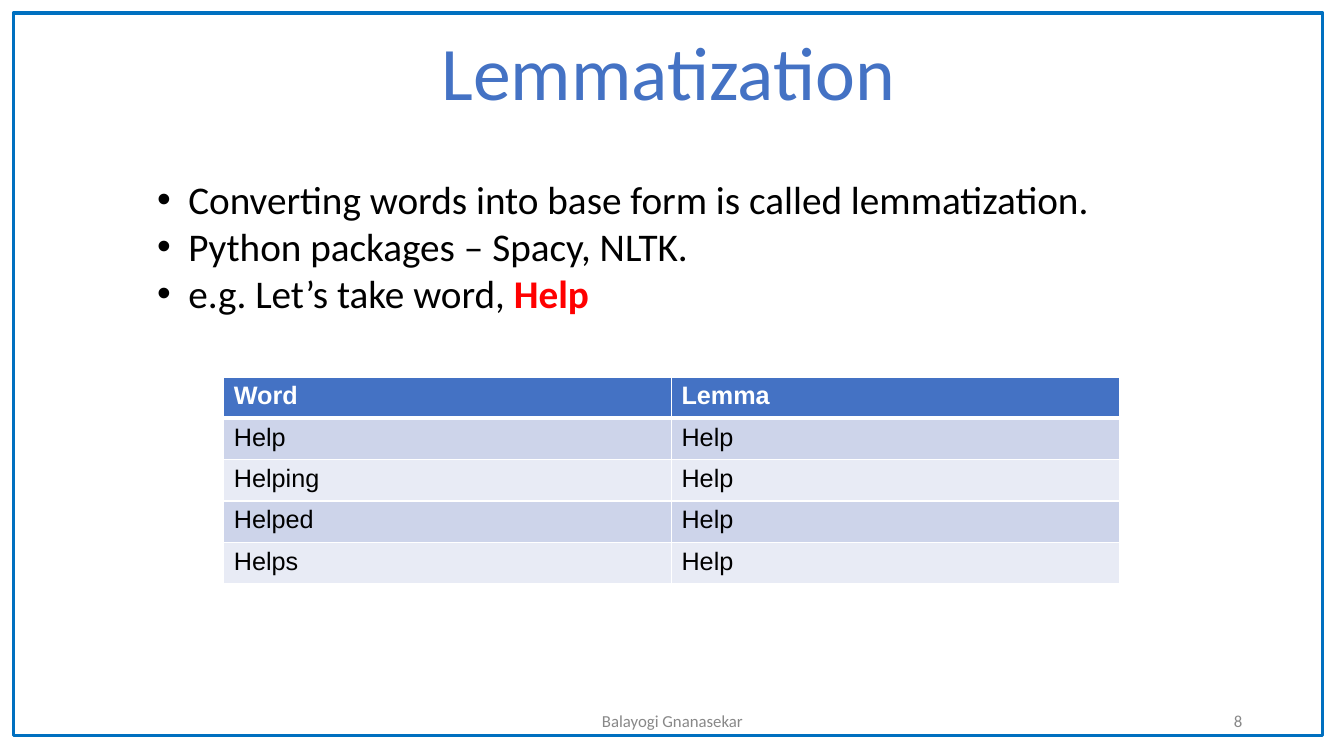
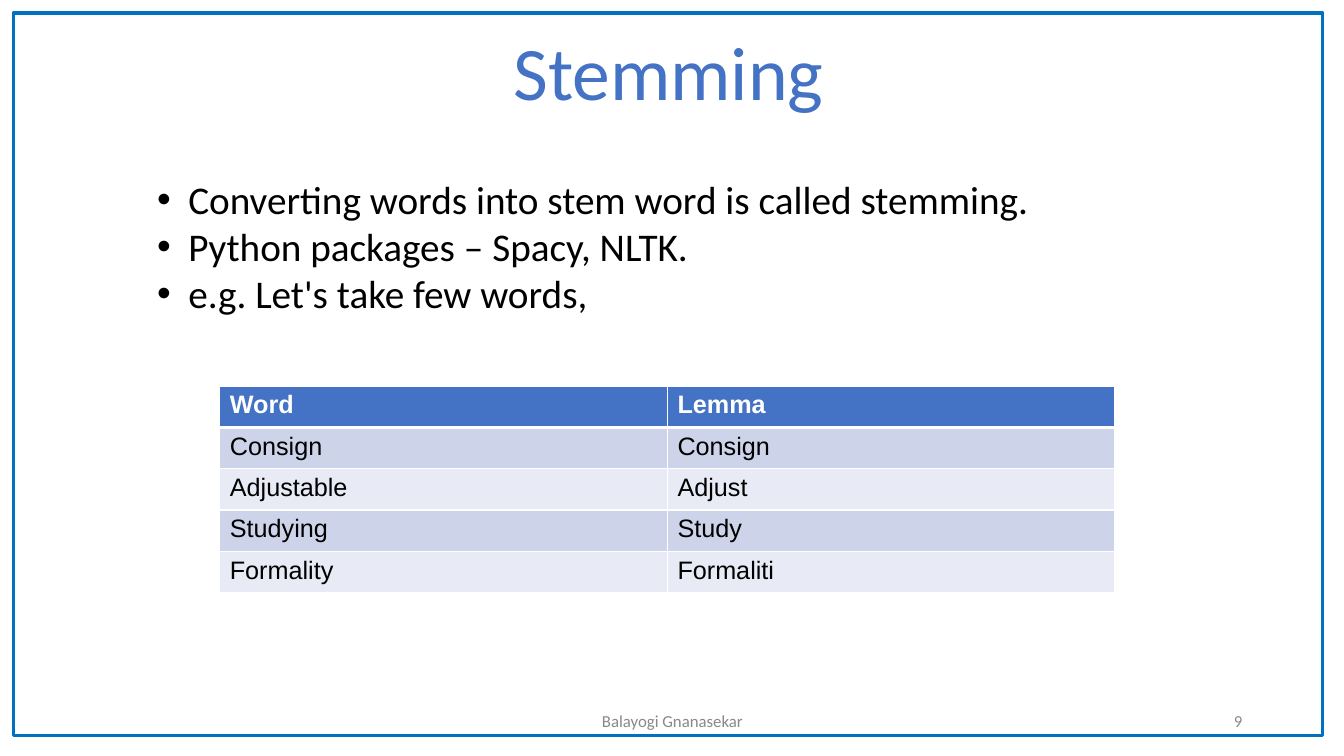
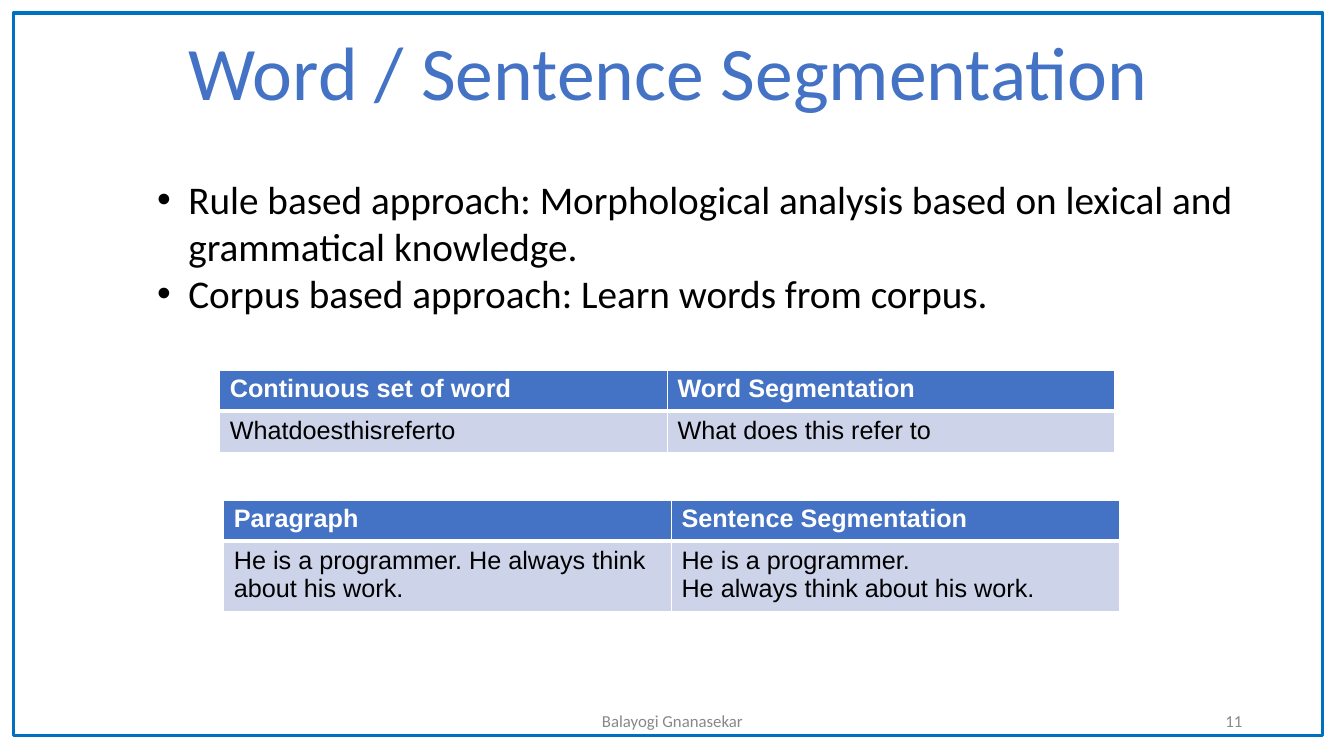
"""Build three slides on lemmatization, stemming and segmentation."""
from dataclasses import dataclass

from lxml.etree import SubElement
from pptx import Presentation
from pptx.dml.color import RGBColor
from pptx.enum.shapes import MSO_SHAPE as Shape
from pptx.enum.text import MSO_ANCHOR as Anchor, PP_ALIGN as Align
from pptx.oxml.ns import qn
from pptx.util import Inches, Pt

FOOTER = "Balayogi Gnanasekar"
PACKAGES = ["Python packages – Spacy, NLTK."]

SLIDES = [
    {
        "number": 8,
        "title": ("Lemmatization", 4.76),
        "bullet_height": 1.99,
        "bullets": [
            ["Converting words into base form is called lemmatization."],
            PACKAGES,
            ["e.g. Let’s take word, ", "Help"],
        ],
        "tables": [
            (2.22, 3.74, [
                ("Word", "Lemma"),
                ("Help", "Help"),
                ("Helping", "Help"),
                ("Helped", "Help"),
                ("Helps", "Help"),
            ]),
        ],
    },
    {
        "number": 9,
        "title": ("Stemming", 3.31),
        "bullet_height": 1.99,
        "bullets": [
            ["Converting words into stem word is called stemming."],
            PACKAGES,
            ["e.g. Let's take few words,"],
        ],
        "tables": [
            (2.18, 3.83, [
                ("Word", "Lemma"),
                ("Consign", "Consign"),
                ("Adjustable", "Adjust"),
                ("Studying", "Study"),
                ("Formality", "Formaliti"),
            ]),
        ],
    },
    {
        "number": 11,
        "title": ("Word / Sentence Segmentation", 9.82),
        "bullet_height": 1.51,
        "bullets": [
            ["Rule based approach: Morphological analysis based on lexical "
             "and grammatical knowledge."],
            ["Corpus based approach: Learn words from corpus."],
        ],
        "tables": [
            (2.18, 3.67, [
                ("Continuous set of word", "Word Segmentation"),
                ("Whatdoesthisreferto", "What does this refer to"),
            ]),
            (2.22, 4.96, [
                ("Paragraph", "Sentence Segmentation"),
                ("He is a programmer. He always think about his work.",
                 "He is a programmer.\nHe always think about his work."),
            ]),
        ],
    },
]


@dataclass(frozen=True)
class Theme:
    """Colours, fonts and type sizes."""
    frame: str = "0070C0"
    accent: str = "4472C4"
    text: str = "000000"
    emphasis: str = "FF0000"
    footer: str = "888888"
    white: str = "FFFFFF"
    bands: tuple = ("CDD4EA", "E8EBF5")
    body_font: str = "Calibri"
    table_font: str = "Arial"
    title_size: int = 54
    bullet_size: int = 28
    table_size: int = 18
    footer_size: int = 12


THEME = Theme()
TITLE_CENTRE = 6.63
COLUMN_WIDTH = 4.44
ROW_HEIGHT = 0.41
TWO_LINE_HEIGHT = 0.7


def style(paragraph, size, color, name=THEME.body_font, bold=False):
    font = paragraph.font
    font.name, font.size, font.bold = name, Pt(size), bold
    font.color.rgb = RGBColor.from_string(color)


def add_textbox(slide, *box):
    frame = slide.shapes.add_textbox(*map(Inches, box)).text_frame
    frame.word_wrap = True
    return frame


def add_label(slide, text, box, align, size, color, anchor=Anchor.TOP):
    frame = add_textbox(slide, *box)
    frame.vertical_anchor = anchor
    frame.text = text
    paragraph = frame.paragraphs[0]
    paragraph.alignment = align
    style(paragraph, size, color)


def add_frame(slide):
    border = slide.shapes.add_shape(
        Shape.RECTANGLE, *map(Inches, (0.13, 0.13, 12.99, 7.17)))
    border.shadow.inherit = False
    border.fill.background()
    border.line.color.rgb = RGBColor.from_string(THEME.frame)
    border.line.width = Pt(2.25)


def set_bullet(paragraph):
    properties = paragraph._p.get_or_add_pPr()
    properties.set("marL", str(Inches(0.31)))
    properties.set("indent", str(-Inches(0.31)))
    color = SubElement(properties, qn("a:buClr"))
    SubElement(color, qn("a:srgbClr"), val=THEME.text)
    SubElement(properties, qn("a:buFont"), typeface=THEME.table_font)
    SubElement(properties, qn("a:buChar"), char="•")


def add_bullets(slide, bullets, height):
    frame = add_textbox(slide, 1.46, 1.69, 10.95, height)
    for index, (lead, *highlights) in enumerate(bullets):
        paragraph = frame.add_paragraph() if index else frame.paragraphs[0]
        set_bullet(paragraph)
        style(paragraph, THEME.bullet_size, THEME.text)
        paragraph.add_run().text = lead
        for highlight in highlights:
            run = paragraph.add_run()
            run.text = highlight
            run.font.bold = True
            run.font.color.rgb = RGBColor.from_string(THEME.emphasis)


def set_borders(cell, row):
    widths = {"L": 1, "R": 1, "T": 3 if row == 1 else 1, "B": 1 if row else 3}
    properties = cell._tc.get_or_add_tcPr()
    for side, width in widths.items():
        line = SubElement(properties, qn(f"a:ln{side}"), w=str(Pt(width)))
        fill = SubElement(line, qn("a:solidFill"))
        SubElement(fill, qn("a:srgbClr"), val=THEME.white)


def add_table(slide, left, top, rows):
    heights = [TWO_LINE_HEIGHT if any("\n" in text for text in row)
               else ROW_HEIGHT for row in rows]
    columns = len(rows[0])
    table = slide.shapes.add_table(
        len(rows), columns, Inches(left), Inches(top),
        Inches(columns * COLUMN_WIDTH), Inches(sum(heights))).table
    for row, (texts, height) in enumerate(zip(rows, heights)):
        table.rows[row].height = Inches(height)
        header = row == 0
        fill = THEME.accent if header else THEME.bands[(row - 1) % 2]
        color = THEME.white if header else THEME.text
        for column, text in enumerate(texts):
            cell = table.cell(row, column)
            set_borders(cell, row)
            cell.fill.solid()
            cell.fill.fore_color.rgb = RGBColor.from_string(fill)
            cell.text_frame.text = text
            for paragraph in cell.text_frame.paragraphs:
                style(paragraph, THEME.table_size, color,
                      THEME.table_font, header)


def add_slide(presentation, content):
    slide = presentation.slides.add_slide(presentation.slide_layouts[6])
    add_frame(slide)
    footers = [
        (FOOTER, (4.42, 6.95, 4.5, 0.4), Align.CENTER),
        (str(content["number"]), (9.42, 6.95, 3, 0.4), Align.RIGHT),
    ]
    for text, box, align in footers:
        add_label(slide, text, box, align,
                  THEME.footer_size, THEME.footer, Anchor.MIDDLE)
    title, width = content["title"]
    add_label(slide, title, (TITLE_CENTRE - width / 2, 0.2, width, 1.01),
              Align.CENTER, THEME.title_size, THEME.accent)
    add_bullets(slide, content["bullets"], content["bullet_height"])
    for left, top, rows in content["tables"]:
        add_table(slide, left, top, rows)


def main():
    presentation = Presentation()
    presentation.slide_width = Inches(13.33)
    presentation.slide_height = Inches(7.5)
    for content in SLIDES:
        add_slide(presentation, content)
    presentation.save("out.pptx")


if __name__ == "__main__":
    main()
